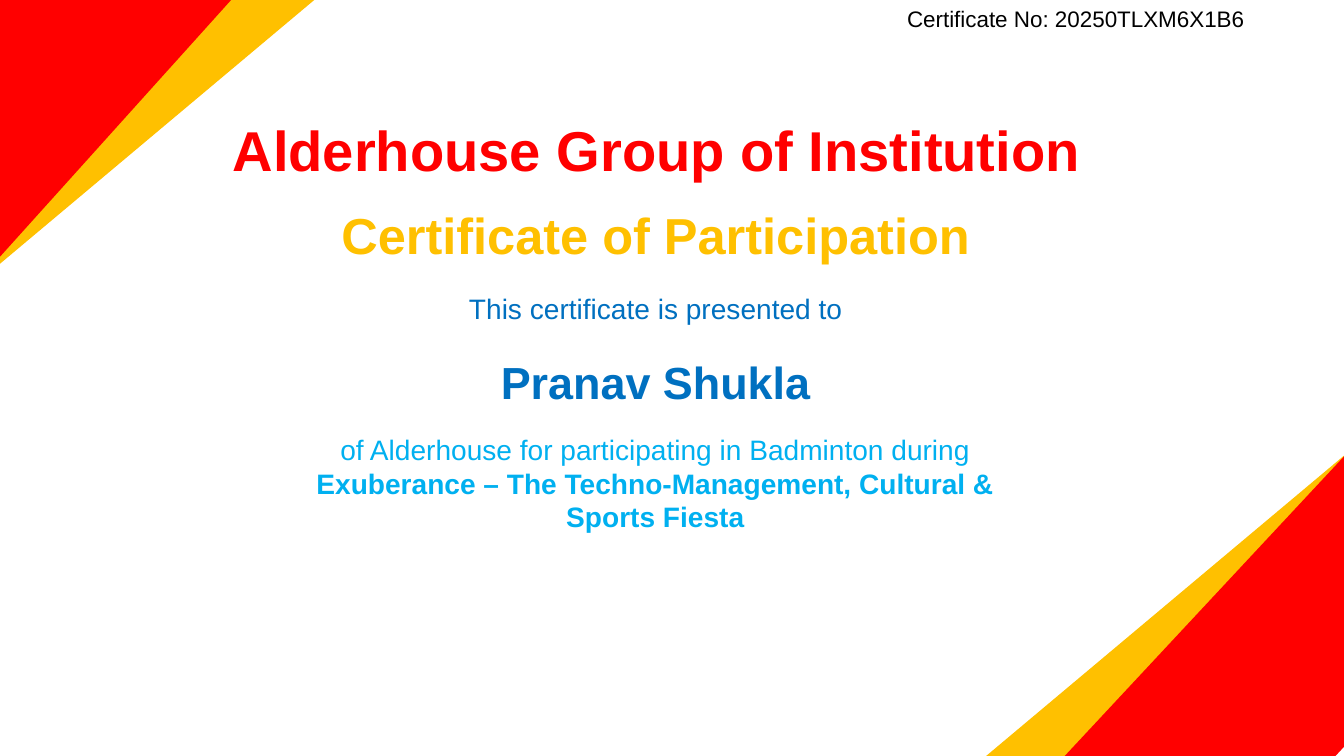
import pptx
import pptx.dml.color
import pptx.enum.shapes
import pptx.enum.text
import pptx.util

Inches = pptx.util.Inches


class Theme:
    font = "Arial"
    red = "FF0000"
    gold = "FFC000"
    blue = "0070C0"
    sky = "00B0F0"
    black = "000000"
    school = 40
    title = 36
    name = 32
    body = 20
    serial = 16


def color(code):
    return pptx.dml.color.RGBColor.from_string(code)


def add_text(slide, box, size, tint, runs):
    shape = slide.shapes.add_textbox(*[Inches(n) for n in box])
    frame = shape.text_frame
    frame.word_wrap = True
    frame.auto_size = pptx.enum.text.MSO_AUTO_SIZE.SHAPE_TO_FIT_TEXT
    line = frame.paragraphs[0]
    line.alignment = pptx.enum.text.PP_ALIGN.CENTER
    for words, bold in runs:
        run = line.add_run()
        run.text = words
        run.font.name = Theme.font
        run.font.size = pptx.util.Pt(size)
        run.font.bold = bold
        run.font.color.rgb = color(tint)


deck = pptx.Presentation()
deck.slide_width = Inches(13.3)
deck.slide_height = Inches(7.48)
slide = deck.slides.add_slide(deck.slide_layouts[6])

# Corner bands: gold behind red
bands = [
    (-1.89, -0.32, 5.38, 320, Theme.gold),
    (9.69, 5.58, 5.38, 320, Theme.gold),
    (-2.11, -0.57, 5.42, 312, Theme.red),
    (9.92, 5.74, 5.33, 313, Theme.red),
]
for left, top, width, angle, tint in bands:
    band = slide.shapes.add_shape(
        pptx.enum.shapes.MSO_SHAPE.RECTANGLE,
        Inches(left), Inches(top), Inches(width), Inches(1.96))
    band.rotation = angle
    band.shadow.inherit = False
    band.fill.solid()
    band.fill.fore_color.rgb = color(tint)
    band.line.fill.background()

# Certificate wording, from top to bottom
texts = [
    ((7, 0, 7.29, 0.36), Theme.serial, Theme.black,
     [("Certificate No: 20250TLXM6X1B6", False)]),
    ((2.15, 1.09, 8.69, 0.77), Theme.school, Theme.red,
     [("Alderhouse Group of Institution", True)]),
    ((2.41, 1.97, 8.16, 0.7), Theme.title, Theme.gold,
     [("Certificate of Participation", True)]),
    ((2.41, 2.83, 8.16, 0.44), Theme.body, Theme.blue,
     [("This certificate is presented to", False)]),
    ((2.41, 3.46, 8.16, 0.64), Theme.name, Theme.blue,
     [("Pranav Shukla", True)]),
    ((3.03, 4.23, 6.91, 1.1), Theme.body, Theme.sky,
     [("of Alderhouse for participating in Badminton during ", False),
      ("Exuberance – The Techno-Management, Cultural & Sports Fiesta", True)]),
]
for box, size, tint, runs in texts:
    add_text(slide, box, size, tint, runs)

deck.save("out.pptx")
